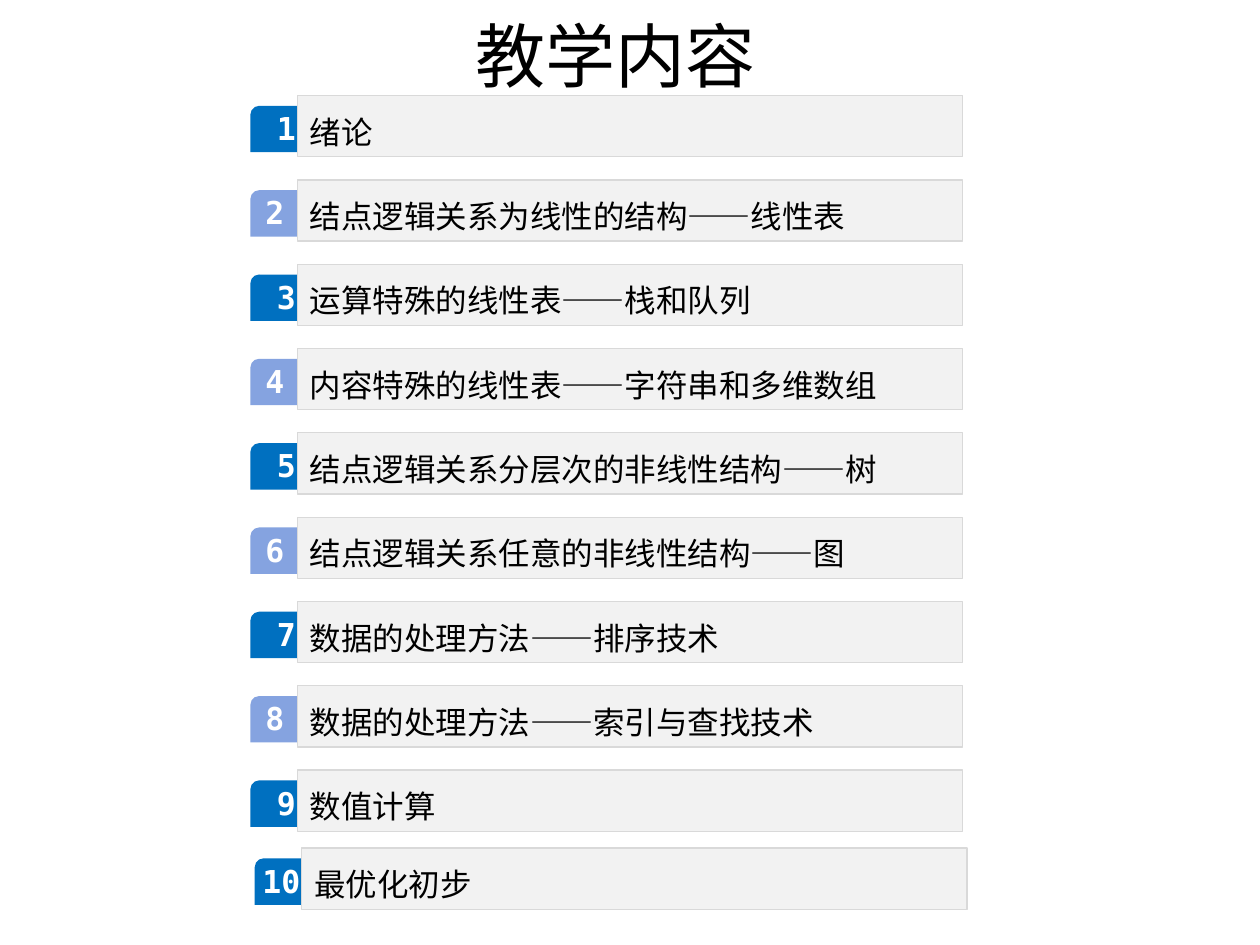
from lxml.etree import SubElement
from pptx import Presentation
from pptx.dml.color import RGBColor
from pptx.enum.shapes import MSO_SHAPE
from pptx.enum.text import MSO_ANCHOR, MSO_AUTO_SIZE, PP_ALIGN
from pptx.oxml.ns import qn
from pptx.util import Pt

TOPICS = [
    "绪论",
    "结点逻辑关系为线性的结构——线性表",
    "运算特殊的线性表——栈和队列",
    "内容特殊的线性表——字符串和多维数组",
    "结点逻辑关系分层次的非线性结构——树",
    "结点逻辑关系任意的非线性结构——图",
    "数据的处理方法——排序技术",
    "数据的处理方法——索引与查找技术",
    "数值计算",
    "最优化初步",
]


def color(value):
    return RGBColor.from_string(value)


def write(tf, text, font, size=18, fill="000000", bold=False,
          align=PP_ALIGN.LEFT, anchor=MSO_ANCHOR.MIDDLE,
          margins=(7.2, 3.6, 7.2, 3.6), spacing=1.0):
    tf.word_wrap = True
    tf.vertical_anchor = anchor
    tf.margin_left, tf.margin_top, tf.margin_right, tf.margin_bottom = map(Pt, margins)
    p = tf.paragraphs[0]
    p.alignment = align
    p.line_spacing = spacing
    r = p.add_run()
    r.text = text
    r.font.size = Pt(size)
    r.font.bold = bold
    r.font.color.rgb = color(fill)
    r.font.name = font
    SubElement(r.font._element, qn("a:ea"), typeface=font)


class Agenda:
    """Holds the agenda style and the slide being built."""

    DARK, LIGHT = "0070C0", "85A3E0"
    PANEL, BORDER = "F2F2F2", "D9D9D9"
    TITLE_FONT = "Noto Sans CJK JP"
    TOPIC_FONT = "Noto Sans CJK SC"
    NUMBER_FONT = "DejaVu Sans Mono"

    def __init__(self, slide):
        self.s = slide

    def shape(self, kind, x, y, w, h, fill, line=None):
        sp = self.s.shapes.add_shape(kind, Pt(x), Pt(y), Pt(w), Pt(h))
        sp.shadow.inherit = False
        sp.fill.solid()
        sp.fill.fore_color.rgb = color(fill)
        if line:
            sp.line.color.rgb = color(line)
            sp.line.width = Pt(0.75)
        else:
            sp.line.fill.background()
        return sp

    def title(self, text):
        sp = self.s.shapes.title
        sp.left, sp.top, sp.width, sp.height = Pt(93.6), Pt(3.6), Pt(516.2), Pt(55.4)
        write(sp.text_frame, text, self.TITLE_FONT, size=40, align=PP_ALIGN.CENTER)
        sp.text_frame.auto_size = MSO_AUTO_SIZE.SHAPE_TO_FIT_TEXT

    def tab(self, number, x, y):
        dark = number % 2 == 1 or number == 10
        if number == 10:
            left = 2.9
        else:
            left = 13.7 if dark else 7.2
        sp = self.shape(MSO_SHAPE.ROUND_2_SAME_RECTANGLE, x, y, 177, 26.5,
                        self.DARK if dark else self.LIGHT)
        sp.adjustments[0] = 0.19
        sp.adjustments[1] = 0
        write(sp.text_frame, str(number), self.NUMBER_FONT, fill="FFFFFF",
              bold=True, margins=(left, 0, 7.2, 0), spacing=0.9)

    def topic(self, text, x, y):
        sp = self.shape(MSO_SHAPE.RECTANGLE, x, y, 380.2, 35, self.PANEL, self.BORDER)
        write(sp.text_frame, text, self.TOPIC_FONT, anchor=MSO_ANCHOR.BOTTOM)

    def row(self, number, text, x, y):
        self.tab(number, x, y + 5.9)
        self.topic(text, x + 26.8, y)


def main():
    prs = Presentation()
    prs.slide_width, prs.slide_height = Pt(720), Pt(540)
    agenda = Agenda(prs.slides.add_slide(prs.slide_layouts[5]))
    agenda.title("教学内容")
    for i, text in enumerate(TOPICS[:-1]):
        agenda.row(i + 1, text, 143.1, 54.6 + 48.18 * i)
    agenda.row(len(TOPICS), TOPICS[-1], 145.6, 484.6)
    prs.save("out.pptx")


if __name__ == "__main__":
    main()
